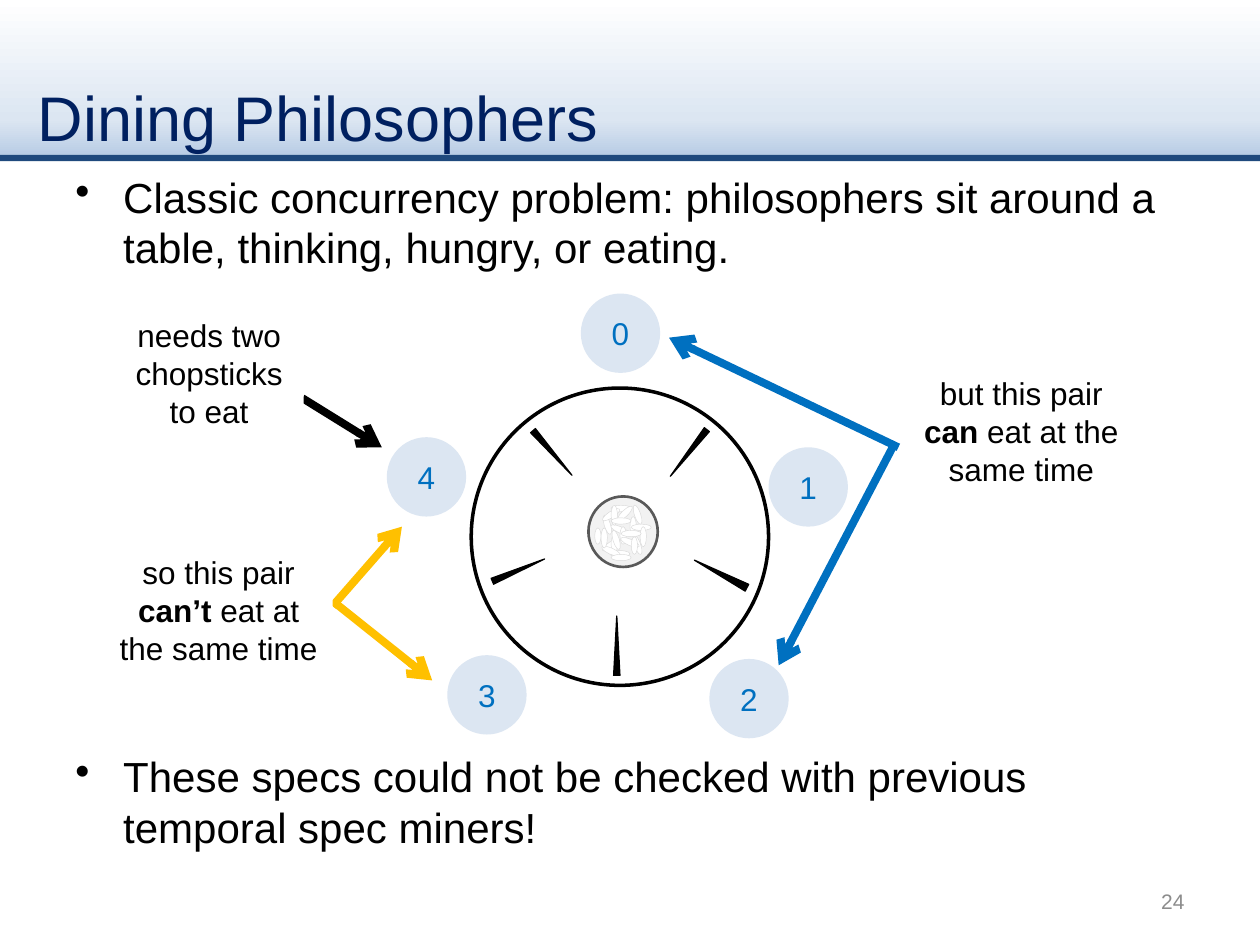
from copy import deepcopy
from typing import NamedTuple

from pptx import Presentation
from pptx.dml.color import RGBColor
from pptx.enum.shapes import MSO_CONNECTOR, MSO_SHAPE
from pptx.enum.text import MSO_ANCHOR, PP_ALIGN
from pptx.oxml.ns import qn
from pptx.oxml.xmlchemy import OxmlElement
from pptx.util import Inches, Pt

RECT, OVAL, TRIANGLE = MSO_SHAPE.RECTANGLE, MSO_SHAPE.OVAL, MSO_SHAPE.ISOSCELES_TRIANGLE
STRAIGHT = MSO_CONNECTOR.STRAIGHT
LEFT, CENTER, RIGHT = PP_ALIGN.LEFT, PP_ALIGN.CENTER, PP_ALIGN.RIGHT
TOP, MIDDLE = MSO_ANCHOR.TOP, MSO_ANCHOR.MIDDLE

FONT = "Arial"
BLACK, WHITE = "000000", "FFFFFF"
NAVY, BAND, PALE, BLUE, AMBER = "002060", "1F497D", "DCE6F2", "0070C0", "FFC000"
SEAT_SIZE = 0.63


class Box(NamedTuple):
    left: float
    top: float
    width: float
    height: float


class Piece(NamedTuple):
    box: Box
    rotation: float = 0


class Seat(NamedTuple):
    number: int
    left: float
    top: float


class Arrow(NamedTuple):
    start: tuple[float, float]
    end: tuple[float, float]
    color: str


class Label(NamedTuple):
    box: Box
    before: str
    strong: str = ""
    after: str = ""


SEATS = [Seat(0, 4.61, 2.33), Seat(1, 6.1, 3.55), Seat(2, 5.63, 5.23),
         Seat(3, 3.55, 5.2), Seat(4, 3.07, 3.47)]

CHOPSTICKS = [
    Piece(Box(4.87, 4.89, 0.05, 0.47)),
    Piece(Box(4.09, 4.3, 0.05, 0.45), 66.9),
    Piece(Box(4.36, 3.36, 0.05, 0.47), 138.9),
    Piece(Box(5.69, 4.32, 0.06, 0.47), 297.7),
    Piece(Box(5.44, 3.36, 0.05, 0.47), 218.1),
]

ARROWS = [
    Arrow((2.4, 3.16), (3.03, 3.55), BLACK),
    Arrow((2.64, 4.81), (3.19, 4.18), AMBER),
    Arrow((2.64, 4.77), (3.43, 5.4), AMBER),
    Arrow((7.13, 3.55), (5.31, 2.68), BLUE),
    Arrow((7.1, 3.52), (6.18, 5.28), BLUE),
]

LABELS = [
    Label(Box(0.91, 2.46, 1.5, 1.01), "needs two chopsticks to eat"),
    Label(Box(0.83, 4.34, 1.81, 1.01), "so this pair ", "can’t", " eat at the same time"),
    Label(Box(7.2, 2.92, 1.81, 1.01), "but this pair ", "can", " eat at the same time"),
]

BULLETS = [
    (Box(0.5, 1.31, 9, 0.95),
     "Classic concurrency problem: philosophers sit around a table, thinking, hungry, or eating."),
    (Box(0.5, 5.91, 9, 0.95),
     "These specs could not be checked with previous temporal spec miners!"),
]

FLAT, UPRIGHT = (0.16, 0.05), (0.05, 0.16)
# Rice grains: left, top, size, rotation
GRAINS = [
    (4.85, 4.01, FLAT, 0), (4.77, 4.3, FLAT, 326.9), (4.85, 4.24, UPRIGHT, 0),
    (4.84, 4.18, FLAT, 23.9), (5, 4.1, UPRIGHT, 0), (4.98, 4.3, FLAT, 71.3),
    (4.72, 4.19, (0.05, 0.13), 0), (4.84, 4.37, FLAT, 0), (4.92, 4.18, (0.05, 0.14), 0),
    (4.74, 4.14, FLAT, 73.2), (5.01, 4.16, FLAT, 0), (4.88, 4.05, FLAT, 315.8),
    (4.77, 4.06, FLAT, 326.9), (4.85, 4.01, UPRIGHT, 0), (4.98, 4.06, FLAT, 71.3),
    (4.85, 4.11, FLAT, 0), (4.92, 4.28, FLAT, 23.9), (5.08, 4.18, UPRIGHT, 0),
    (5.01, 4.26, (0.05, 0.14), 0), (4.81, 4.26, FLAT, 73.2), (4.93, 4.21, FLAT, 0),
    (4.77, 4.35, FLAT, 23.9), (4.77, 4.19, UPRIGHT, 0), (4.85, 4.4, FLAT, 0),
]


def rgb(color: str) -> RGBColor:
    return RGBColor.from_string(color)


def add_figure(slide, kind, box: Box, fill: str, line: str = "", weight: float = 0,
               rotation: float = 0):
    figure = slide.shapes.add_shape(kind, *map(Inches, box))
    figure.shadow.inherit = False
    figure.rotation = rotation
    figure.fill.solid()
    figure.fill.fore_color.rgb = rgb(fill)
    if line:
        figure.line.color.rgb = rgb(line)
        figure.line.width = Pt(weight)
    else:
        figure.line.fill.background()
    return figure


def style_text(holder, size: float, color: str, align=CENTER, anchor=MIDDLE) -> None:
    frame = holder.text_frame
    frame.word_wrap = True
    frame.vertical_anchor = anchor
    for paragraph in frame.paragraphs:
        paragraph.alignment = align
        for run in paragraph.runs:
            run.font.name = FONT
            run.font.size = Pt(size)
            run.font.color.rgb = rgb(color)


def add_text(slide, box: Box, text: str, size: float, color: str, align=LEFT, anchor=MIDDLE):
    holder = slide.shapes.add_textbox(*map(Inches, box))
    holder.text_frame.text = text
    style_text(holder, size, color, align, anchor)
    return holder


def add_bullet(slide, box: Box, text: str) -> None:
    holder = add_text(slide, box, text, 24, BLACK, anchor=TOP)
    properties = holder.text_frame.paragraphs[0]._p.get_or_add_pPr()
    properties.set("marL", str(Inches(0.38)))
    properties.set("indent", str(-Inches(0.38)))
    bullet = OxmlElement("a:buChar")
    bullet.set("char", "•")
    properties.append(bullet)


def add_header(slide) -> None:
    header = add_figure(slide, RECT, Box(0, 0, 10, 1.23), WHITE)
    header.fill.gradient()
    header.fill.gradient_angle = 90
    stop_list = header._element.spPr.find(qn("a:gradFill")).find(qn("a:gsLst"))
    stop_list.append(deepcopy(stop_list[-1]))
    colors = [(0, "B9CDE5"), (0.23, PALE), (1, WHITE)]
    for stop, (position, color) in zip(header.fill.gradient_stops, colors):
        stop.position = position
        stop.color.rgb = rgb(color)


def add_seat(slide, seat: Seat) -> None:
    place = add_figure(slide, OVAL, Box(seat.left, seat.top, SEAT_SIZE, SEAT_SIZE), PALE)
    place.text_frame.text = str(seat.number)
    style_text(place, 18, BLUE)


def add_arrow(slide, arrow: Arrow) -> None:
    connector = slide.shapes.add_connector(STRAIGHT, *map(Inches, arrow.start + arrow.end))
    connector.line.color.rgb = rgb(arrow.color)
    connector.line.width = Pt(4.5)
    head = OxmlElement("a:tailEnd")
    head.set("type", "arrow")
    connector.line._get_or_add_ln().append(head)
    connector._element.spPr.append(OxmlElement("a:effectLst"))


def add_label(slide, label: Label) -> None:
    note = add_figure(slide, RECT, label.box, WHITE)
    paragraph = note.text_frame.paragraphs[0]
    for text in filter(None, label[1:]):
        run = paragraph.add_run()
        run.text = text
        run.font.bold = text == label.strong
    style_text(note, 18, BLACK, anchor=TOP)


def main() -> None:
    deck = Presentation()
    deck.slide_width, deck.slide_height = Inches(10), Inches(7.5)
    slide = deck.slides.add_slide(deck.slide_layouts[6])

    # Header, bullets and page number
    add_header(slide)
    add_text(slide, Box(0.2, 0.3, 9, 1.25), "Dining Philosophers", 36, NAVY)
    for box, text in BULLETS:
        add_bullet(slide, box, text)
    add_figure(slide, RECT, Box(0, 1.23, 10, 0.05), BAND)
    add_text(slide, Box(7.17, 6.95, 2.33, 0.4), "24", 12, "8C8C8C", RIGHT)

    # Table with seats and chopsticks
    add_figure(slide, OVAL, Box(3.74, 3.08, 2.36, 2.36), WHITE, BLACK, 2)
    for seat in SEATS:
        add_seat(slide, seat)
    for box, rotation in CHOPSTICKS:
        add_figure(slide, TRIANGLE, box, BLACK, BLACK, 0.75, rotation)

    # Annotations
    for arrow in ARROWS:
        add_arrow(slide, arrow)
    for label in LABELS:
        add_label(slide, label)

    # Bowl of rice
    add_figure(slide, OVAL, Box(4.67, 3.94, 0.55, 0.56), "F2F2F2", "595959", 1.5)
    for left, top, size, rotation in GRAINS:
        add_figure(slide, OVAL, Box(left, top, *size), WHITE, "D9D9D9", 0.25, rotation)

    deck.save("out.pptx")


if __name__ == "__main__":
    main()
